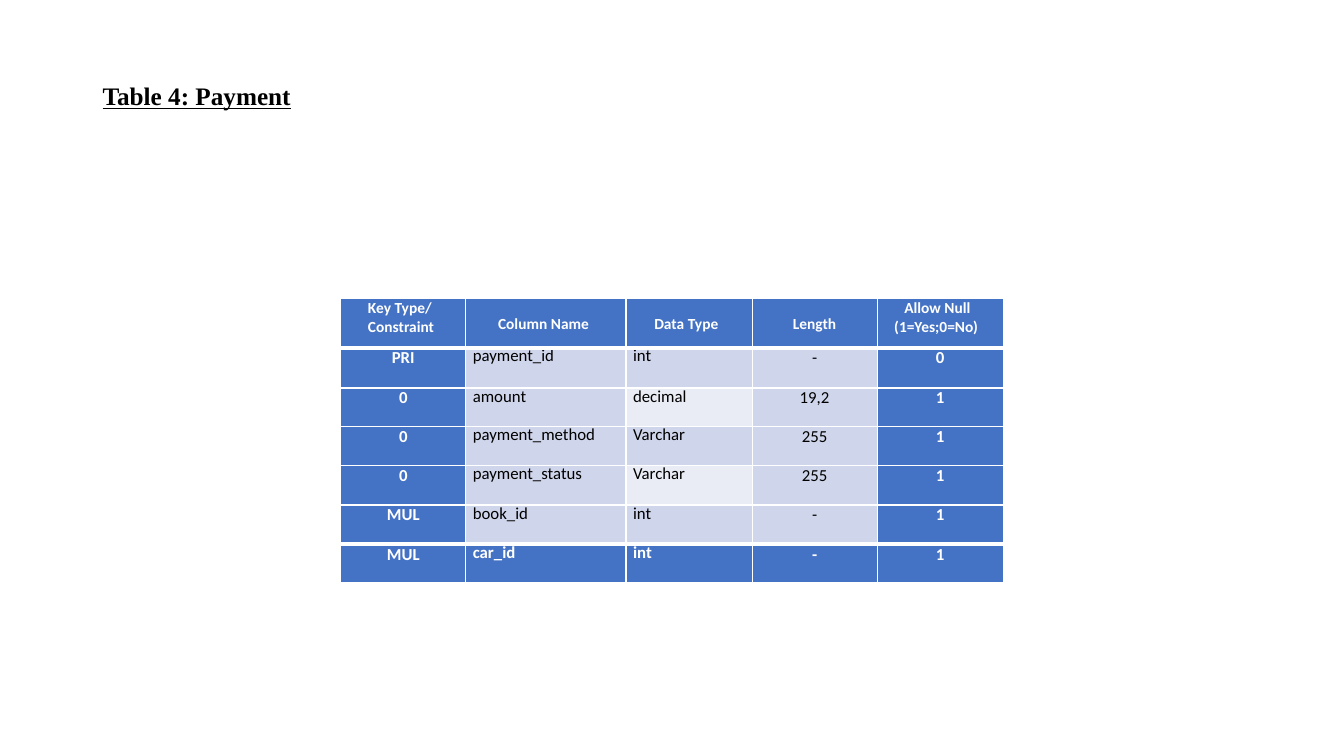
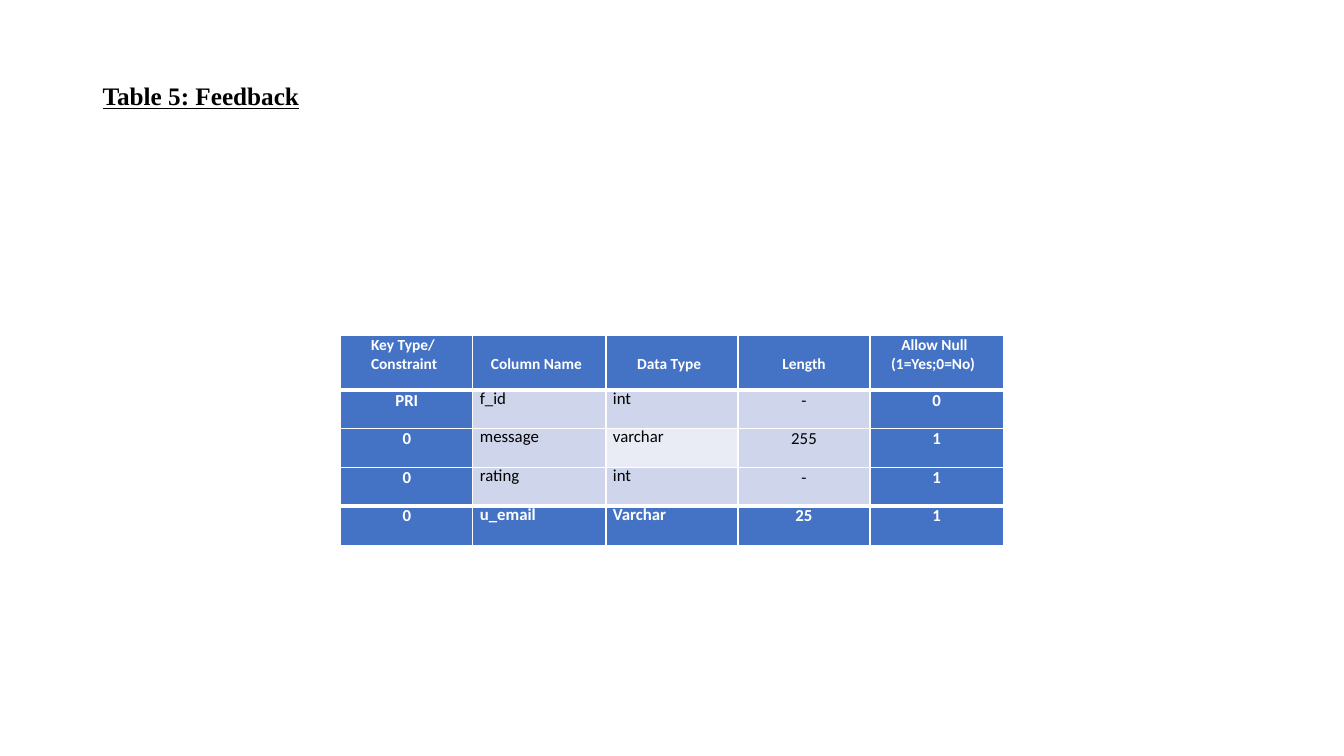
from lxml.etree import SubElement
from pptx import Presentation
from pptx.dml.color import RGBColor
from pptx.enum.text import MSO_ANCHOR, PP_ALIGN
from pptx.oxml.ns import qn
from pptx.util import Inches, Pt

COLORS = {
    "text": "000000",
    "inverse": "FFFFFF",
    "rule": "FFFFFF",
    "accent": "4472C4",
    "band": "CFD5EA",
    "light": "E9EBF5",
}
HEADINGS = ["Key Type/ Constraint", "Column Name", "Data Type", "Length", "Allow Null (1=Yes;0=No)"]
TWO_LINE_HEADINGS = (0, 4)
LEFT_COLUMNS = (1, 2)
LENGTH_COLUMN = 3
TYPE_COLUMN = 2
OUTER_COLUMNS = (0, 4)
THIN, THICK = 1, 3

SCHEMAS = [
    {
        "title": "Table 4: Payment",
        "top": 2.96,
        "widths": [1.24, 1.59, 1.25, 1.24, 1.25],
        "heights": [0.49, 0.4, 0.38, 0.39, 0.39, 0.39, 0.38],
        "heading_insets": [0.27, 0.32, 0.28, 0, 0.17],
        "heading_drop": 0.16,
        "fields": [
            ("PRI", "payment_id", "int", "-", "0"),
            ("0", "amount", "decimal", "19,2", "1"),
            ("0", "payment_method", "Varchar", "255", "1"),
            ("0", "payment_status", "Varchar", "255", "1"),
            ("MUL", "book_id", "int", "-", "1"),
            ("MUL", "car_id", "int", "-", "1"),
        ],
    },
    {
        "title": "Table 5: Feedback",
        "top": 3.33,
        "widths": [1.31, 1.32, 1.31, 1.31, 1.32],
        "heights": [0.54, 0.38, 0.39, 0.38, 0.39],
        "heading_insets": [0.3, 0.18, 0.31, 0, 0.21],
        "heading_drop": 0.19,
        "fields": [
            ("PRI", "f_id", "int", "-", "0"),
            ("0", "message", "varchar", "255", "1"),
            ("0", "rating", "int", "-", "1"),
            ("0", "u_email", "Varchar", "25", "1"),
        ],
    },
]


def write(frame, text, size=12, font="Calibri", color="text", bold=False,
          underline=False, align=PP_ALIGN.LEFT, spacing=None, indent=0):
    paragraph = frame.paragraphs[0]
    paragraph.alignment = align
    if spacing:
        paragraph.line_spacing = spacing
    if indent:
        paragraph._p.get_or_add_pPr().set("indent", str(Inches(indent)))
    run = paragraph.add_run()
    run.text = text
    run.font.size = Pt(size)
    run.font.name = font
    run.font.bold = bold
    run.font.underline = underline
    run.font.color.rgb = RGBColor.from_string(COLORS[color])


def add_title(slide, title):
    box = slide.shapes.add_textbox(Inches(0.92), Inches(0.4), Inches(11.5), Inches(1.13))
    box.text_frame.word_wrap = True
    box.text_frame.vertical_anchor = MSO_ANCHOR.MIDDLE
    write(box.text_frame, title, size=18, font="Times New Roman", bold=True,
          underline=True, spacing=0.9)


def set_borders(cell, top, bottom):
    properties = cell._tc.get_or_add_tcPr()
    for side, width in (("L", THIN), ("R", THIN), ("T", top), ("B", bottom)):
        line = SubElement(properties, qn(f"a:ln{side}"), w=str(Pt(width)))
        fill = SubElement(line, qn("a:solidFill"))
        SubElement(fill, qn("a:srgbClr"), val=COLORS["rule"])


def style_cell(cell, fill, top, bottom):
    cell.margin_left = cell.margin_right = cell.margin_top = cell.margin_bottom = 0
    set_borders(cell, top, bottom)
    cell.fill.solid()
    cell.fill.fore_color.rgb = RGBColor.from_string(COLORS[fill])


def write_heading(cell, column, schema):
    cell.margin_left = Inches(schema["heading_insets"][column])
    if column not in TWO_LINE_HEADINGS:
        cell.margin_top = Inches(schema["heading_drop"])
    write(cell.text_frame, HEADINGS[column], size=11, color="inverse", bold=True,
          align=PP_ALIGN.CENTER if column == LENGTH_COLUMN else PP_ALIGN.LEFT,
          indent=0.1 if column == OUTER_COLUMNS[-1] else 0)


def write_field(cell, column, value, emphasis):
    style = {"color": "inverse" if emphasis else "text", "bold": emphasis}
    if column in LEFT_COLUMNS:
        cell.margin_left = Inches(0.07)
        style["spacing"] = Pt(13.4)
    else:
        style["align"] = PP_ALIGN.CENTER
    write(cell.text_frame, value, **style)


def add_schema(slide, schema):
    rows = [HEADINGS, *schema["fields"]]
    last = len(rows) - 1
    table = slide.shapes.add_table(
        len(rows), len(HEADINGS), Inches(3.38), Inches(schema["top"]),
        Inches(sum(schema["widths"])), Inches(sum(schema["heights"]))).table
    table.first_row = table.horz_banding = False
    for column, width in zip(table.columns, schema["widths"]):
        column.width = Inches(width)
    for row, height in zip(table.rows, schema["heights"]):
        row.height = Inches(height)
    for r, values in enumerate(rows):
        top = THICK if r in (1, last) else THIN
        bottom = THICK if r in (0, last - 1) else THIN
        for c, value in enumerate(values):
            emphasis = r in (0, last) or c in OUTER_COLUMNS
            light = c == TYPE_COLUMN and r % 2 == 0
            fill = "accent" if emphasis else "light" if light else "band"
            cell = table.cell(r, c)
            style_cell(cell, fill, top, bottom)
            if r == 0:
                write_heading(cell, c, schema)
            else:
                write_field(cell, c, value, emphasis)


def main():
    deck = Presentation()
    deck.slide_width, deck.slide_height = Inches(13.33), Inches(7.5)
    for schema in SCHEMAS:
        slide = deck.slides.add_slide(deck.slide_layouts[6])
        add_title(slide, schema["title"])
        add_schema(slide, schema)
    deck.save("out.pptx")


if __name__ == "__main__":
    main()
